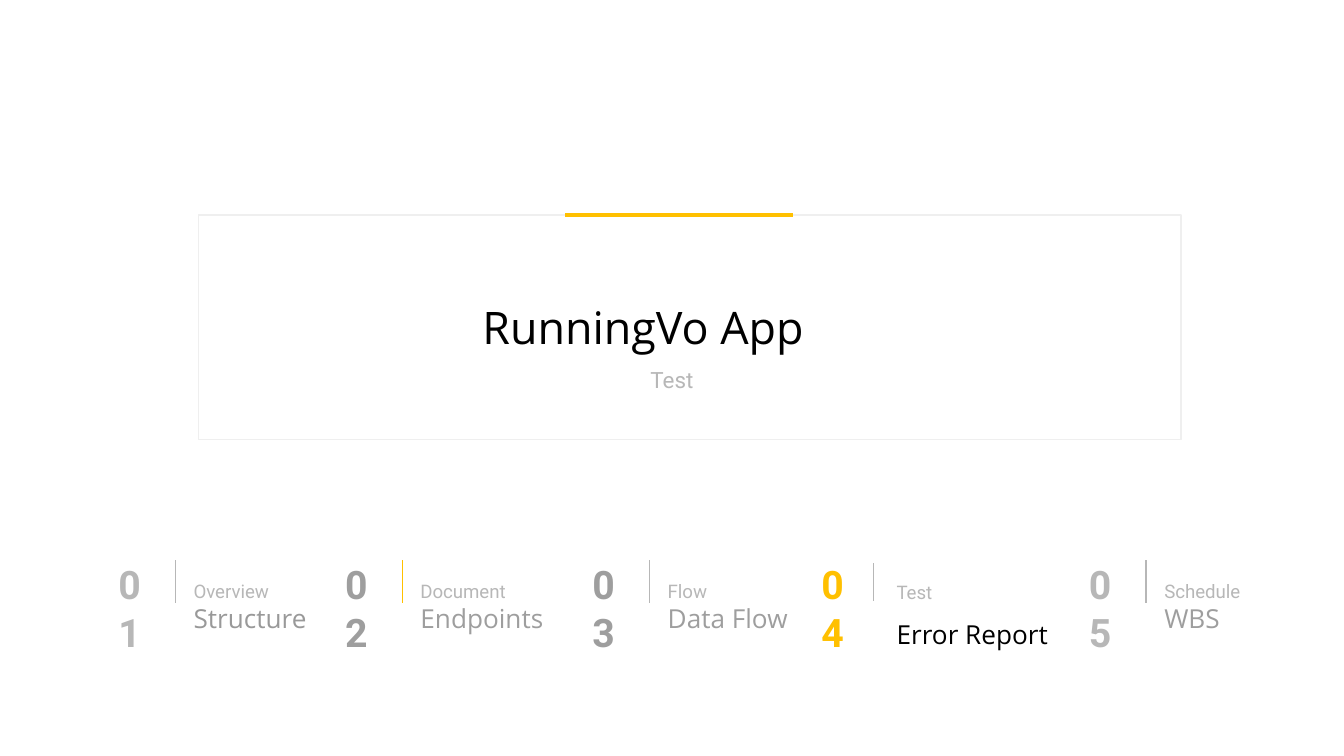
from dataclasses import dataclass

from lxml import etree
from pptx import Presentation
from pptx.dml.color import RGBColor
from pptx.enum.shapes import MSO_CONNECTOR, MSO_SHAPE
from pptx.enum.text import MSO_ANCHOR, MSO_AUTO_SIZE, PP_ALIGN
from pptx.oxml.ns import qn
from pptx.util import Inches, Pt

RECT = MSO_SHAPE.RECTANGLE
STRAIGHT = MSO_CONNECTOR.STRAIGHT
TOP, MIDDLE = MSO_ANCHOR.TOP, MSO_ANCHOR.MIDDLE
CENTER = PP_ALIGN.CENTER
GROW, FIXED = MSO_AUTO_SIZE.SHAPE_TO_FIT_TEXT, MSO_AUTO_SIZE.NONE

WHITE = RGBColor(0xFF, 0xFF, 0xFF)
FRAME = RGBColor(0xEF, 0xEF, 0xEF)
LIGHT = RGBColor(0xB7, 0xB7, 0xB7)
MID = RGBColor(0x9E, 0x9E, 0x9E)
DARK = RGBColor(0x99, 0x99, 0x99)
BLACK = RGBColor(0, 0, 0)
AMBER = RGBColor(0xFF, 0xC0, 0x00)

WIDTH = Inches(10)
HEIGHT = WIDTH * 9 // 16
INSET = Inches(0.1)

TITLE = {"name": "Open Sans", "size": Pt(24)}
SUBTITLE = {"name": "Roboto", "size": Pt(12)}
NUMBER = {"name": "Roboto", "size": Pt(21), "bold": True}
TOPIC = {"name": "Roboto", "size": Pt(10)}
HEADING = {"name": "Open Sans", "size": Pt(14)}


@dataclass
class Step:
    """One entry of the agenda; left and label_width are percent of the slide width."""
    left: float
    label_width: float
    topic: str
    heading: str
    number_color: RGBColor
    rule_color: RGBColor
    heading_color: RGBColor
    active: bool = False


STEPS = [
    Step(7.82, 14.7, "Overview", "Structure", LIGHT, LIGHT, DARK),
    Step(24.7, 14.7, "Document", "Endpoints", MID, AMBER, MID),
    Step(43.1, 12.3, "Flow", "Data Flow", MID, LIGHT, MID),
    Step(60.13, 14.7, "Test", "Error Report", AMBER, LIGHT, BLACK, active=True),
    Step(80.04, 12.8, "Schedule", "WBS", LIGHT, LIGHT, MID),
]


def place(x, y, *size):
    """Turn percent of the slide's width and height into lengths."""
    shares = (x, y, *size)
    return [round(v * (HEIGHT if i % 2 else WIDTH) / 100)
            for i, v in enumerate(shares)]


def add_text(s, box, paragraphs, anchor=TOP, fit=GROW, left_inset=INSET):
    """Add a text box; a paragraph is (text, font format, colour, paragraph format)."""
    tf = s.shapes.add_textbox(*place(*box)).text_frame
    frame = {"word_wrap": True, "auto_size": fit, "vertical_anchor": anchor,
             "margin_left": left_inset, "margin_right": INSET,
             "margin_top": INSET, "margin_bottom": INSET}
    for key, value in frame.items():
        setattr(tf, key, value)
    for i, (text, font, color, layout) in enumerate(paragraphs):
        p = tf.add_paragraph() if i else tf.paragraphs[0]
        for key, value in layout.items():
            setattr(p, key, value)
        r = p.add_run()
        r.text = text
        for key, value in font.items():
            setattr(r.font, key, value)
        r.font.color.rgb = color


def add_line(s, start, end, color, width=0.75):
    line = s.shapes.add_connector(STRAIGHT, *place(*start), *place(*end))
    line.line.color.rgb = color
    line.line.width = Pt(width)
    etree.SubElement(line._element.spPr, qn("a:effectLst"))


def add_title_panel(s):
    sp = s.shapes.add_shape(RECT, *place(14.77, 28.42, 73.1, 29.69))
    sp.shadow.inherit = False
    sp.fill.background()
    sp.line.color.rgb = FRAME
    sp.line.width = Pt(0.75)
    add_line(s, (42.04, 28.44), (59, 28.44), AMBER, 2.25)
    add_text(s, (17.3, 38.58, 65.4, 9.24),
             [("RunningVo App", TITLE, BLACK, {})],
             MIDDLE, FIXED, left_inset=Inches(1.86))
    add_text(s, (31.2, 47.9, 37.6, 4.98),
             [("Test", SUBTITLE, LIGHT,
               {"alignment": CENTER, "line_spacing": 0.95, "space_after": Pt(12)})],
             MIDDLE, FIXED)


def add_step(s, number, step):
    add_text(s, (step.left, 72.4, 5.2, 9.96),
             [(f"{number:02}", NUMBER, step.number_color, {})])

    rule_x = step.left + (4.85 if step.active else 5.23)
    trim = 0.36 if step.active else 0
    add_line(s, (rule_x, 74.13 + trim), (rule_x, 79.82 - trim), step.rule_color)

    loose = {"line_spacing": 1.5}
    label_y = 73.56 if step.active else 73.42
    add_text(s, (step.left + 5.6, label_y, step.label_width, 12.27),
             [(step.topic, TOPIC, LIGHT, loose),
              (step.heading, HEADING, step.heading_color,
               loose if step.active else {})])


def main():
    prs = Presentation()
    prs.slide_width, prs.slide_height = WIDTH, HEIGHT
    s = prs.slides.add_slide(prs.slide_layouts[6])
    s.background.fill.solid()
    s.background.fill.fore_color.rgb = WHITE
    add_title_panel(s)
    for number, step in enumerate(STEPS, start=1):
        add_step(s, number, step)
    prs.save("out.pptx")


if __name__ == "__main__":
    main()
